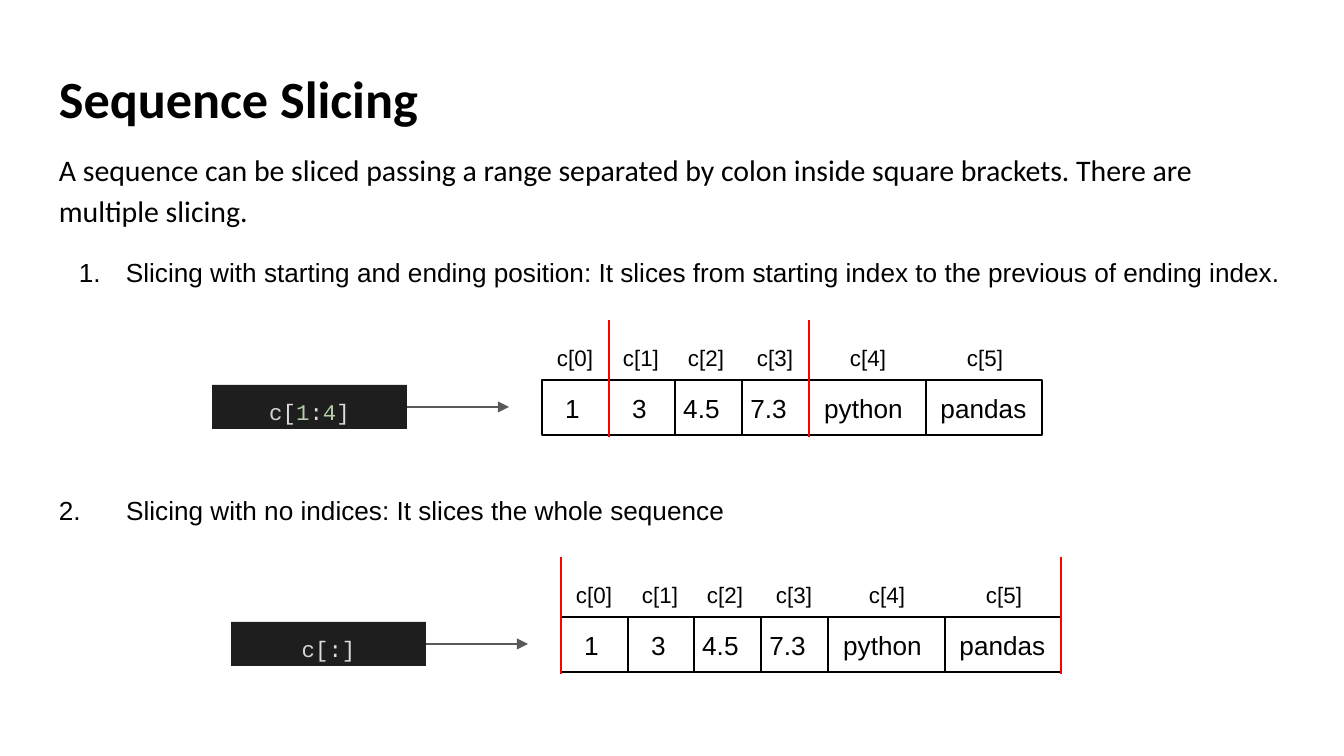
from dataclasses import dataclass

from lxml.etree import SubElement
from pptx import Presentation
from pptx.dml.color import RGBColor
from pptx.enum.shapes import MSO_CONNECTOR, MSO_SHAPE
from pptx.enum.text import MSO_ANCHOR, PP_ALIGN
from pptx.oxml.ns import qn
from pptx.util import Emu, Pt

SLIDE_WIDTH, SLIDE_HEIGHT = 1344, 756
SCALE = 9144000 / SLIDE_WIDTH
INSET = 13


@dataclass(frozen=True)
class Theme:
    ink: str = "000000"
    marker: str = "FF0000"
    arrow: str = "595959"
    code_fill: str = "1E1E1E"
    code_name: str = "D4D4D4"
    code_sign: str = "DCDCDC"
    code_number: str = "B5CEA8"
    heading_font: str = "Calibri"
    text_font: str = "Arial"
    code_font: str = "Courier New"
    title_size: int = 28
    body_size: int = 16
    item_size: int = 14
    small_size: int = 12
    thin: float = 0.75
    thick: float = 1.5


THEME = Theme()

COLUMN_LEFT, COLUMN_WIDTH = 46, 1253
CELL_HEIGHT = 55
CELL_EDGES = (0, 67, 133, 200, 267, 384, 500)
LABEL_LEFTS = (0, 66, 131, 200, 293, 410)
# value, left from the first cell, width
VALUES = (
    ("1", 1, 59),
    ("3", 68, 59),
    ("4.5", 126, 67),
    ("7.3", 193, 67),
    ("python", 263, 117),
    ("pandas", 383, 117),
)


def px(length):
    return Emu(round(length * SCALE))


def box(left, top, width, height):
    return px(left), px(top), px(width), px(height)


def color(value):
    return RGBColor.from_string(value)


def write_text(shape, runs, size=THEME.item_size, font=THEME.text_font, bold=False,
               align=PP_ALIGN.LEFT, anchor=MSO_ANCHOR.TOP, line_spacing=None,
               before=0, after=0):
    """Fill a shape with one paragraph; runs is a string or (text, colour) pairs."""
    if isinstance(runs, str):
        runs = [(runs, THEME.ink)]
    frame = shape.text_frame
    frame.word_wrap = True
    frame.vertical_anchor = anchor
    frame.margin_left = frame.margin_right = px(INSET)
    frame.margin_top = frame.margin_bottom = px(INSET)
    paragraph = frame.paragraphs[0]
    paragraph.alignment = align
    paragraph.space_before, paragraph.space_after = Pt(before), Pt(after)
    if line_spacing:
        paragraph.line_spacing = line_spacing
    for text, run_color in runs:
        run = paragraph.add_run()
        run.text = text
        run.font.size = Pt(size)
        run.font.name = font
        run.font.bold = bold
        run.font.color.rgb = color(run_color)
    return paragraph


def add_text(shapes, bounds, runs, **text_format):
    return write_text(shapes.add_textbox(*box(*bounds)), runs, **text_format)


def number_paragraph(paragraph, indent, hanging):
    properties = paragraph._p.get_or_add_pPr()
    properties.set("marL", str(px(indent)))
    properties.set("indent", str(-px(hanging)))
    bullet_color = SubElement(properties, qn("a:buClr"))
    SubElement(bullet_color, qn("a:srgbClr"), val=THEME.ink)
    SubElement(properties, qn("a:buAutoNum"), type="arabicPeriod")


def add_line(shapes, start, end, line_color, width):
    connector = shapes.add_connector(
        MSO_CONNECTOR.STRAIGHT, *(px(value) for value in (*start, *end)))
    connector.line.color.rgb = color(line_color)
    connector.line.width = Pt(width)
    SubElement(connector._element.spPr, qn("a:effectLst"))
    return connector


def add_cell(shapes, bounds):
    cell = shapes.add_shape(MSO_SHAPE.RECTANGLE, *box(*bounds))
    cell.shadow.inherit = False
    cell.fill.background()
    cell.line.color.rgb = color(THEME.ink)
    cell.line.width = Pt(THEME.thin)


def add_code(shapes, bounds, runs):
    code = shapes.add_shape(MSO_SHAPE.RECTANGLE, *box(*bounds))
    code.shadow.inherit = False
    code.fill.solid()
    code.fill.fore_color.rgb = color(THEME.code_fill)
    code.line.fill.background()
    write_text(code, runs, size=THEME.small_size, font=THEME.code_font,
               align=PP_ALIGN.CENTER, anchor=MSO_ANCHOR.MIDDLE, line_spacing=1.36)
    return code


def add_sequence(shapes, left, top, slice_edges):
    """Draw the indexed cells, with a marker at each edge of the slice."""
    centered = {"align": PP_ALIGN.CENTER, "anchor": MSO_ANCHOR.MIDDLE}
    for start, end in zip(CELL_EDGES, CELL_EDGES[1:]):
        add_cell(shapes, (left + start, top, end - start, CELL_HEIGHT))
    for value, offset, width in VALUES:
        add_text(shapes, (left + offset, top + 1, width, 54), value, **centered)
    for index, offset in enumerate(LABEL_LEFTS):
        add_text(shapes, (left + offset, top - 49, 66, 54), f"c[{index}]",
                 size=THEME.small_size, **centered)
    for edge in slice_edges:
        x = left + CELL_EDGES[edge]
        add_line(shapes, (x, top - 60), (x, top + 57), THEME.marker, THEME.thick)


def add_slicing(slide, left, top, slice_edges, code_runs):
    """Draw a slice expression with an arrow to its sequence."""
    add_sequence(slide.shapes.add_group_shape().shapes, left, top, slice_edges)
    code = add_code(slide.shapes, (left - 330, top + 5, 195, 44), code_runs)
    y = top + 27
    arrow = add_line(slide.shapes, (left - 135, y), (left - 33, y),
                     THEME.arrow, THEME.thin)
    arrow.begin_connect(code, 3)
    SubElement(arrow.line._get_or_add_ln(), qn("a:tailEnd"), type="triangle")


def main():
    presentation = Presentation()
    presentation.slide_width = px(SLIDE_WIDTH)
    presentation.slide_height = px(SLIDE_HEIGHT)
    slide = presentation.slides.add_slide(presentation.slide_layouts[6])
    shapes = slide.shapes

    add_text(shapes, (COLUMN_LEFT, 50, COLUMN_WIDTH, 85), "Sequence Slicing",
             size=THEME.title_size, font=THEME.heading_font, bold=True,
             anchor=MSO_ANCHOR.MIDDLE, line_spacing=1.15, before=14, after=14)
    add_text(shapes, (COLUMN_LEFT, 133, COLUMN_WIDTH, 109),
             "A sequence can be sliced passing a range separated by colon inside "
             "square brackets. There are multiple slicing.",
             size=THEME.body_size, font=THEME.heading_font, line_spacing=1.15, after=16)

    first_item = add_text(
        shapes, (COLUMN_LEFT, 243, COLUMN_WIDTH, 58),
        "Slicing with starting and ending position: It slices from starting index "
        "to the previous of ending index.")
    number_paragraph(first_item, indent=67, hanging=47)
    name, sign, number = THEME.code_name, THEME.code_sign, THEME.code_number
    add_slicing(slide, 542, 380, (1, 4), [
        ("c", name), ("[", sign), ("1", number), (":", sign), ("4", number), ("]", sign)])

    add_text(shapes, (COLUMN_LEFT, 481, COLUMN_WIDTH, 58),
             "2.\tSlicing with no indices: It slices the whole sequence")
    add_slicing(slide, 561, 617, (0, 6), [("c", name), ("[:]", sign)])

    presentation.save("out.pptx")


if __name__ == "__main__":
    main()
